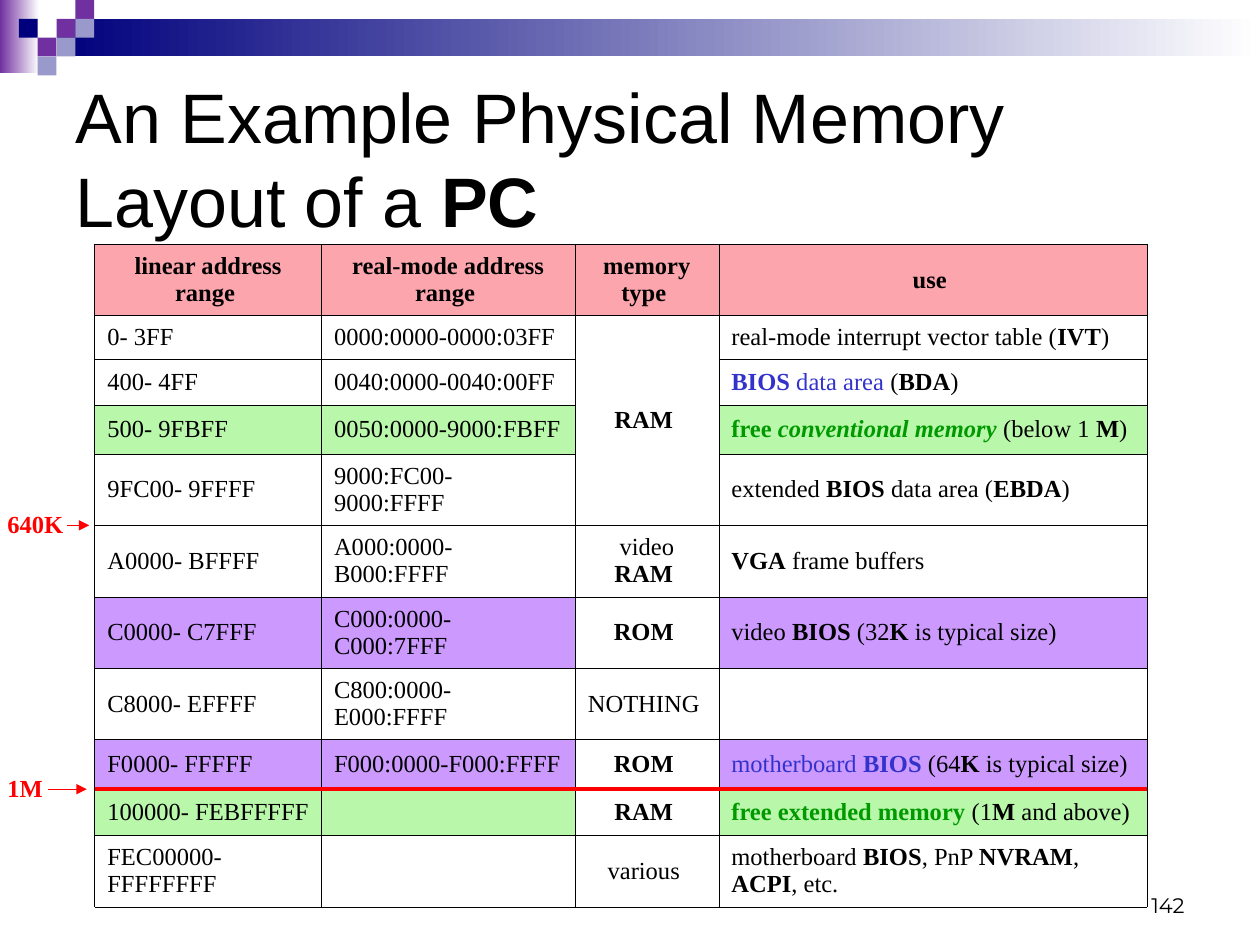
"""Builds a slide with a table of the physical memory layout of a PC."""
from lxml import etree
from pptx import Presentation
from pptx import util as u
from pptx.dml import color
from pptx.enum import shapes, text
from pptx.oxml import ns

COLORS = {"black": "000000", "white": "FFFFFF", "red": "FF0000", "navy": "00007D",
          "violet": "7030A0", "lavender": "9999CC", "blue": "3333CC", "green": "009900",
          "pink": "FDA5AD", "mint": "B9F7AB", "lilac": "CC99FF"}
SERIF = "Times New Roman"


def rgb(name):
    return color.RGBColor.from_string(COLORS[name])


def write_runs(paragraph, parts, size, font_name, base=""):
    """Adds parts, each a string or a (string, style words) pair."""
    for part in parts:
        words, style = (part, base) if isinstance(part, str) else part
        run = paragraph.add_run()
        run.text = words
        run.font.size = u.Pt(size)
        run.font.name = font_name
        run.font.bold = "bold" in style
        run.font.italic = "italic" in style
        tint = [name for name in style.split() if name in COLORS]
        run.font.color.rgb = rgb(tint[0] if tint else "black")


prs = Presentation()
prs.slide_width, prs.slide_height = u.Cm(25.4), u.Cm(19.05)
slide = prs.slides.add_slide(prs.slide_layouts[5])

STEP = 0.38
banner = [
    (0, 0, 0.79, 1.47, "violet", True),
    (3 * STEP, STEP, 25.4 - 3 * STEP, 2 * STEP, "navy", True),
]
mosaic = [(3, 1, "violet"), (4, 0, "violet"), (4, 1, "lavender"), (2, 2, "violet"),
          (1, 1, "navy"), (3, 2, "lavender"), (2, 3, "lavender")]
banner += [(col * STEP, row * STEP, STEP, STEP, tint, False) for col, row, tint in mosaic]
for left, top, width, height, tint, fades in banner:
    block = slide.shapes.add_shape(shapes.MSO_SHAPE.RECTANGLE,
                                   u.Cm(left), u.Cm(top), u.Cm(width), u.Cm(height))
    block.shadow.inherit = False
    block.line.fill.background()
    if fades:
        block.fill.gradient()
        block.fill.gradient_angle = 0
        for stop, name in zip(block.fill.gradient_stops, (tint, "white")):
            stop.color.rgb = rgb(name)
    else:
        block.fill.solid()
        block.fill.fore_color.rgb = rgb(tint)

title = slide.shapes.title
title.left, title.top, title.width, title.height = u.Cm(1.27), u.Cm(1.27), u.Cm(22.86), u.Cm(3.81)
title.text_frame.auto_size = text.MSO_AUTO_SIZE.NONE
title.text_frame.vertical_anchor = text.MSO_ANCHOR.MIDDLE
heading = title.text_frame.paragraphs[0]
heading.alignment = text.PP_ALIGN.LEFT
write_runs(heading, ["An Example Physical Memory Layout of a ", ("PC", "bold")], 40, "Arial")

RAM, ROM = ("RAM ", "bold"), ("ROM ", "bold")
BIOS, KILO, MEGA = ("BIOS", "bold"), ("K", "bold"), ("M", "bold")
memory_rows = [
    (1.44, "pink", "linear address range ", "real-mode address range ", ["memory type "], ["use "]),
    (0.89, None, "0- 3FF", "0000:0000-0000:03FF", [RAM],
     ["real-mode interrupt vector table (", ("IVT", "bold"), ")"]),
    (0.91, None, "400- 4FF", "0040:0000-0040:00FF", [],
     [("BIOS", "bold blue"), (" data area", "blue"), " (", ("BDA", "bold"), ")"]),
    (0.99, "mint", "500- 9FBFF", "0050:0000-9000:FBFF", [],
     [("free ", "bold green"), ("conventional memory", "bold italic green"),
      " (below 1 ", MEGA, ")"]),
    (1.44, None, "9FC00- 9FFFF", "9000:FC00-9000:FFFF", [],
     ["extended ", BIOS, " data area (", ("EBDA", "bold"), ")"]),
    (1.44, None, "A0000- BFFFF", "A000:0000-B000:FFFF", ["video ", RAM],
     [("VGA", "bold"), " frame buffers"]),
    (1.44, "lilac", "C0000- C7FFF", "C000:0000-C000:7FFF", [ROM],
     ["video ", BIOS, " (32", KILO, " is typical size)"]),
    (1.44, None, "C8000- EFFFF", "C800:0000-E000:FFFF", ["NOTHING "], []),
    (1.0, "lilac", "F0000- FFFFF", "F000:0000-F000:FFFF", [ROM],
     [("motherboard ", "blue"), ("BIOS", "bold blue"), " (64", KILO, " is typical size)"]),
    (0.93, "mint", "100000- FEBFFFFF", "", [RAM],
     [("free extended memory", "bold green"), " (1", MEGA, " and above)"]),
    (1.44, None, "FEC00000- FFFFFFFF", "", ["various "],
     ["motherboard ", BIOS, ", PnP ", ("NVRAM", "bold"), ", ", ("ACPI", "bold"), ", etc."]),
]
TABLE_LEFT, TABLE_TOP = 1.91, 4.92
TYPE_COLUMN = 2
column_widths = [4.57, 5.11, 2.9, 8.63]
row_heights = [row[0] for row in memory_rows]
table_right = TABLE_LEFT + sum(column_widths)
layout = slide.shapes.add_table(len(memory_rows), len(column_widths),
                                u.Cm(TABLE_LEFT), u.Cm(TABLE_TOP),
                                u.Cm(sum(column_widths)), u.Cm(sum(row_heights))).table
layout.first_row = layout.horz_banding = False
for column, width in zip(layout.columns, column_widths):
    column.width = u.Cm(width)
for r, (height, band, linear, real_mode, kind, use) in enumerate(memory_rows):
    layout.rows[r].height = u.Cm(height)
    for c, parts in enumerate(([linear], [real_mode], kind, use)):
        cell = layout.cell(r, c)
        cell.vertical_anchor = text.MSO_ANCHOR.MIDDLE
        entry = cell.text_frame.paragraphs[0]
        centred = r == 0 or c == TYPE_COLUMN
        entry.alignment = text.PP_ALIGN.CENTER if centred else text.PP_ALIGN.LEFT
        if any(parts):
            write_runs(entry, parts, 14, SERIF, "bold" if r == 0 else "")
        else:
            etree.SubElement(entry._p, ns.qn("a:endParaRPr"), sz="1400")
        cell_format = cell._tc.get_or_add_tcPr()
        for side in ("a:lnL", "a:lnR", "a:lnT", "a:lnB"):
            border = etree.SubElement(cell_format, ns.qn(side), w=str(u.Pt(0.34)))
            ink = etree.SubElement(border, ns.qn("a:solidFill"))
            etree.SubElement(ink, ns.qn("a:srgbClr"), val=COLORS["black"])
        if band and (r == 0 or c != TYPE_COLUMN):
            cell.fill.solid()
            cell.fill.fore_color.rgb = rgb(band)
        else:
            cell.fill.background()
layout.cell(1, TYPE_COLUMN).merge(layout.cell(4, TYPE_COLUMN))

limit_640k = TABLE_TOP + sum(row_heights[:5])
limit_1m = TABLE_TOP + sum(row_heights[:9])
limit_lines = [(0.97, 1.75, limit_1m, 0.75, True),
               (1.35, 1.8, limit_640k, 0.75, True),
               (TABLE_LEFT, table_right, limit_1m, 2.25, False)]
for start, end, level, weight, pointed in limit_lines:
    marker = slide.shapes.add_connector(shapes.MSO_CONNECTOR.STRAIGHT,
                                        u.Cm(start), u.Cm(level), u.Cm(end), u.Cm(level))
    marker.line.color.rgb = rgb("red")
    marker.line.width = u.Pt(weight)
    if pointed:
        etree.SubElement(marker.line._get_or_add_ln(), ns.qn("a:tailEnd"), type="triangle")
    etree.SubElement(marker._element.spPr, ns.qn("a:effectLst"))

for words, level, width in (("1M", limit_1m, 1.22), ("640K", limit_640k, 1.63)):
    limit = slide.shapes.add_textbox(u.Cm(-0.1), u.Cm(level - 0.45), u.Cm(width), u.Cm(0.86))
    limit.text_frame.word_wrap = False
    limit.text_frame.auto_size = text.MSO_AUTO_SIZE.SHAPE_TO_FIT_TEXT
    caption = limit.text_frame.paragraphs[0]
    caption.space_before = u.Pt(3.5)
    write_runs(caption, [words], 14, SERIF, "bold red")

page_number = slide.shapes.add_textbox(u.Cm(18.21), u.Cm(17.35), u.Cm(5.92), u.Cm(1.27))
page_number.text_frame.word_wrap = True
page_number.text_frame.vertical_anchor = text.MSO_ANCHOR.BOTTOM
number = page_number.text_frame.paragraphs[0]
number.alignment = text.PP_ALIGN.RIGHT
write_runs(number, ["142"], 12, "Montserrat")

prs.save("out.pptx")
